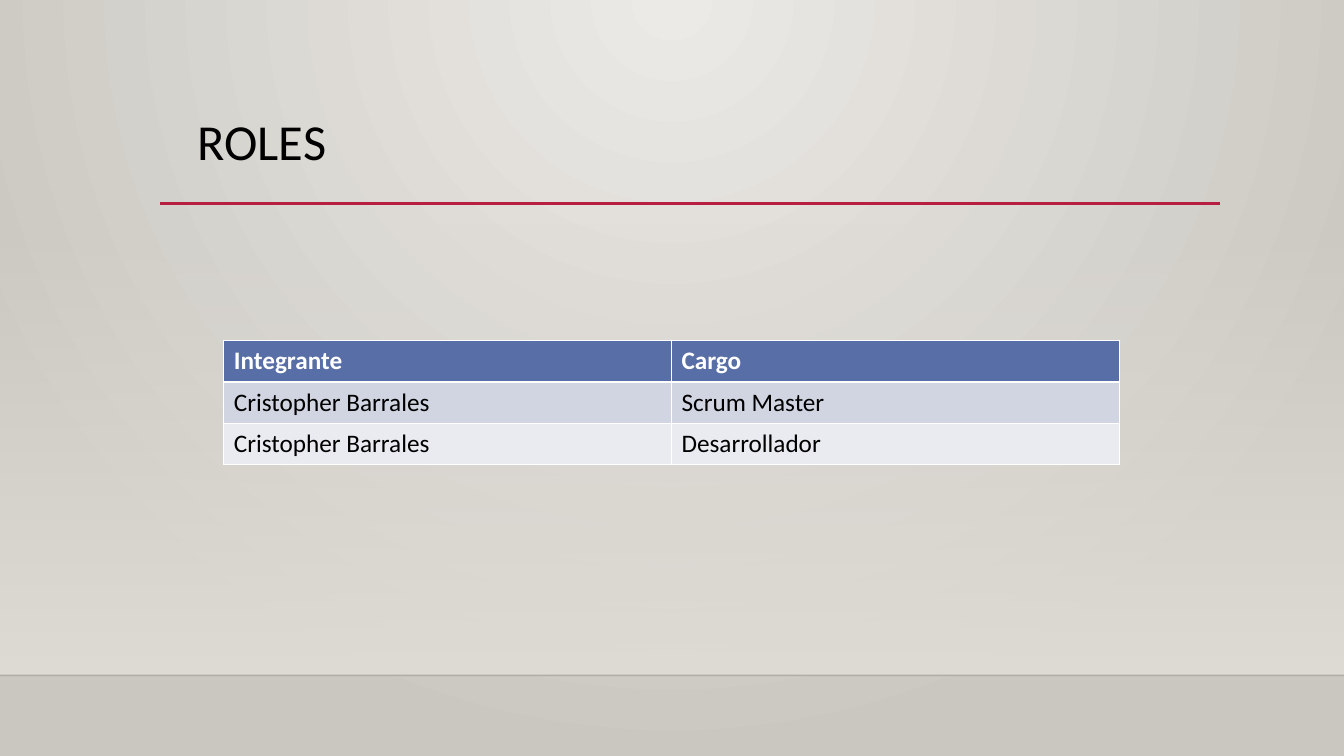
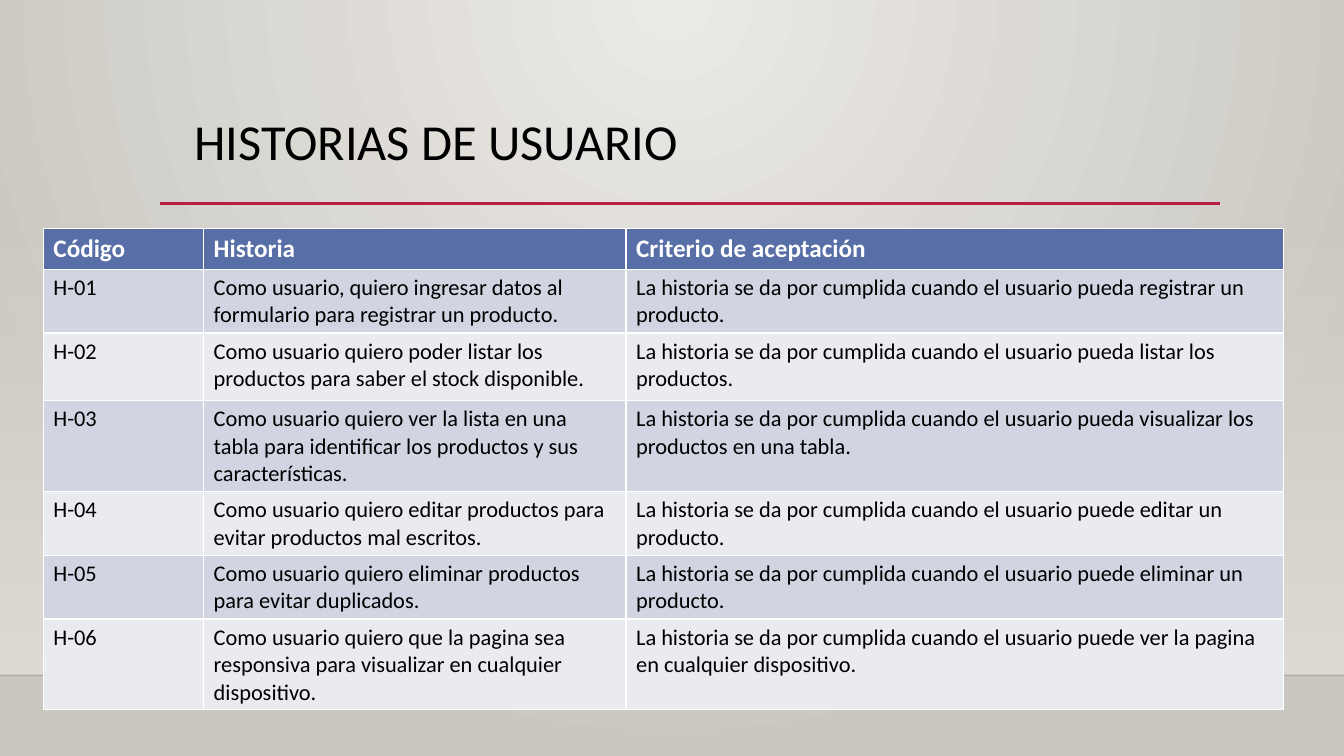
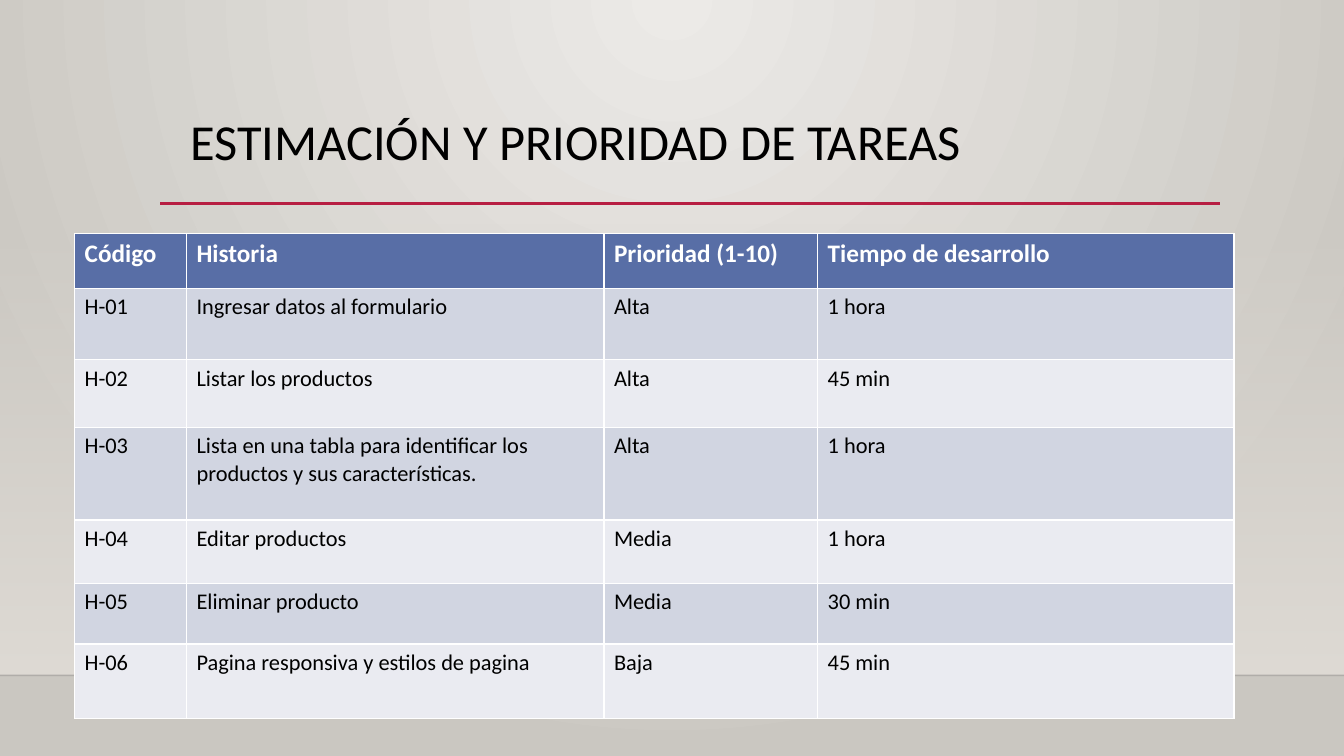
from dataclasses import dataclass

from lxml.etree import SubElement
from pptx import Presentation
from pptx.dml.color import RGBColor
from pptx.enum.shapes import MSO_CONNECTOR, MSO_SHAPE
from pptx.enum.text import MSO_AUTO_SIZE
from pptx.oxml.ns import qn
from pptx.util import Inches, Pt


@dataclass(frozen=True)
class Theme:
    """Colours, font and type sizes of the deck."""
    glow: str = "ECEAE7"
    edge: str = "CAC7C1"
    haze: str = "DFDBD5"
    floor: str = "000001"
    rule: str = "B71E42"
    ink: str = "000000"
    white: str = "FFFFFF"
    head: str = "586EA6"
    bands: tuple = ("D1D5E1", "EAEBF1")
    font: str = "Calibri"
    title: int = 36
    large: int = 18
    small: int = 16


theme = Theme()


def write(frame, text, size, color, bold=None):
    """Put one styled run of text in a frame."""
    run = frame.paragraphs[0].add_run()
    run.text = text
    style = {"name": theme.font, "size": Pt(size), "bold": bold}
    for key, value in style.items():
        setattr(run.font, key, value)
    run.font.color.rgb = RGBColor.from_string(color)


def blend(fill, colors):
    """Give a fill a gradient of two colours."""
    fill.gradient()
    for stop, color in zip(fill.gradient_stops, colors):
        stop.color.rgb = RGBColor.from_string(color)


deck = Presentation()
deck.slide_width, deck.slide_height = Inches(13.33), Inches(7.5)
blank = deck.slide_layouts[6]

# Backdrop: a round glow from the top centre, set on the master
master = deck.slide_master
blend(master.background.fill, (theme.glow, theme.edge))
grad = master.element.find(".//" + qn("p:bgPr")).find(qn("a:gradFill"))
grad.remove(grad.find(qn("a:lin")))
round_glow = SubElement(grad, qn("a:path"), {"path": "circle"})
SubElement(round_glow, qn("a:fillToRect"),
           {"l": "43000", "t": "0", "r": "43000", "b": "100000"})

# Shared parts: drawn on the first slide, then moved to the layout
first = deck.slides.add_slide(blank)
haze = first.shapes.add_shape(MSO_SHAPE.RECTANGLE, 0, Inches(2.21),
                              Inches(13.33), Inches(4.49))
haze.shadow.inherit = False
haze.line.fill.background()
blend(haze.fill, (theme.haze, theme.haze))
haze.fill.gradient_angle = 270
clear = haze.element.find(".//" + qn("a:srgbClr"))
SubElement(clear, qn("a:alpha"), {"val": "0"})

for left, right, top, color, width, alpha in (
        (0, 13.33, 6.7, theme.floor, 1, 20),
        (1.59, 12.1, 2.02, theme.rule, 2.5, 100)):
    line = first.shapes.add_connector(MSO_CONNECTOR.STRAIGHT, Inches(left),
                                      Inches(top), Inches(right), Inches(top))
    line.line.width = Pt(width)
    line.line.color.rgb = RGBColor.from_string(color)
    if alpha < 100:
        tint = line.element.find(".//" + qn("a:srgbClr"))
        SubElement(tint, qn("a:alpha"), {"val": str(alpha * 1000)})
    SubElement(line.element.find(qn("p:spPr")), qn("a:effectLst"))

tree = blank.shapes.element
for holder in list(blank.placeholders):
    tree.remove(holder.element)
for part in list(first.shapes):
    tree.append(part.element)

goal = "La historia se da por cumplida cuando el usuario "
pages = [
    {"title": "ROLES", "left": 1.86, "at": (2.22, 3.38), "size": theme.large,
     "cols": (4.44, 4.44), "rows": (0.41, 0.41, 0.41),
     "cells": [
         ("Integrante", "Cargo"),
         ("Cristopher Barrales", "Scrum Master"),
         ("Cristopher Barrales", "Desarrollador")]},
    {"title": "HISTORIAS DE USUARIO", "left": 1.83, "at": (0.43, 2.27),
     "size": theme.small, "cols": (1.59, 4.19, 6.52),
     "rows": (0.36, 0.63, 0.67, 0.81, 0.63, 0.6, 0.74),
     "cells": [
         ("Código", "Historia", "Criterio de aceptación"),
         ("H-01", "Como usuario, quiero ingresar datos al formulario para "
          "registrar un producto.", goal + "pueda registrar un producto."),
         ("H-02", "Como usuario quiero poder listar los productos para saber "
          "el stock disponible.", goal + "pueda listar los productos."),
         ("H-03", "Como usuario quiero ver la lista en una tabla para "
          "identificar los productos y sus características.",
          goal + "pueda visualizar los productos en una tabla."),
         ("H-04", "Como usuario quiero editar productos para evitar productos "
          "mal escritos.", goal + "puede editar un producto."),
         ("H-05", "Como usuario quiero eliminar productos para evitar "
          "duplicados.", goal + "puede eliminar un producto."),
         ("H-06", "Como usuario quiero que la pagina sea responsiva para "
          "visualizar en cualquier dispositivo.",
          goal + "puede ver la pagina en cualquier dispositivo.")]},
    {"title": "ESTIMACIÓN Y PRIORIDAD DE TAREAS", "left": 1.79,
     "at": (0.74, 2.32), "size": theme.small,
     "cols": (1.11, 4.14, 2.12, 4.13),
     "rows": (0.54, 0.71, 0.67, 0.92, 0.63, 0.6, 0.74),
     "cells": [
         ("Código", "Historia", "Prioridad (1-10)", "Tiempo de desarrollo"),
         ("H-01", "Ingresar datos al formulario", "Alta", "1 hora"),
         ("H-02", "Listar los productos", "Alta", "45 min"),
         ("H-03", "Lista en una tabla para identificar los productos y sus "
          "características.", "Alta", "1 hora"),
         ("H-04", "Editar productos", "Media", "1 hora"),
         ("H-05", "Eliminar producto", "Media", "30 min"),
         ("H-06", "Pagina responsiva y estilos de pagina", "Baja",
          "45 min")]},
]

for index, page in enumerate(pages):
    slide = deck.slides.add_slide(blank) if index else first
    box = slide.shapes.add_textbox(Inches(page["left"]), Inches(1.04),
                                   Inches(9.05), Inches(0.71))
    frame = box.text_frame
    for key, value in {"word_wrap": True,
                       "auto_size": MSO_AUTO_SIZE.SHAPE_TO_FIT_TEXT}.items():
        setattr(frame, key, value)
    write(frame, page["title"], theme.title, theme.ink)

    cols, rows = page["cols"], page["rows"]
    left, top = page["at"]
    table = slide.shapes.add_table(len(rows), len(cols), Inches(left),
                                   Inches(top), Inches(sum(cols)),
                                   Inches(sum(rows))).table
    for col, width in zip(table.columns, cols):
        col.width = Inches(width)
    for row, height in zip(table.rows, rows):
        row.height = Inches(height)
    for r, texts in enumerate(page["cells"]):
        if r == 0:
            fill, look = theme.head, (theme.large, theme.white, True)
        else:
            fill = theme.bands[(r - 1) % 2]
            look = (page["size"], theme.ink, False)
        for c, text in enumerate(texts):
            cell = table.cell(r, c)
            cell.fill.solid()
            cell.fill.fore_color.rgb = RGBColor.from_string(fill)
            write(cell.text_frame, text, *look)

deck.save("out.pptx")
